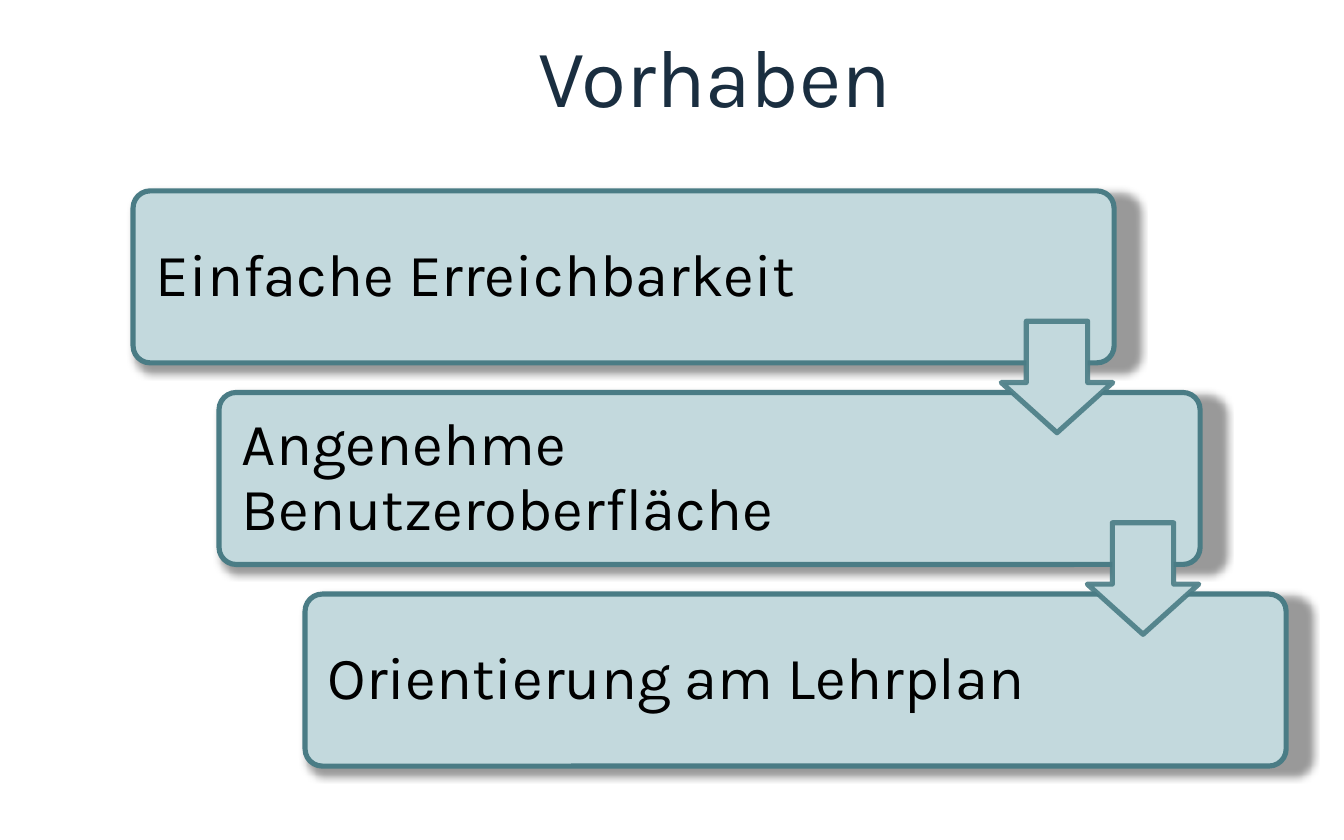
from dataclasses import dataclass

from lxml.etree import SubElement as Sub
from pptx import Presentation
from pptx.dml.color import RGBColor as Rgb
from pptx.enum.shapes import MSO_SHAPE as Kind
from pptx.enum.text import MSO_ANCHOR as Anchor, PP_ALIGN as Align
from pptx.oxml.ns import qn
from pptx.util import Inches, Pt


@dataclass(frozen=True)
class Theme:
    font: str = "Karla"
    navy: str = "1A2E40"
    fill: str = "C3D9DD"
    edge: str = "4A7C85"
    black: str = "000000"
    head: int = 44
    body: int = 32
    line: float = 2.75


class Deck:
    """Holds the theme and the current slide."""

    def __init__(self, theme, slide):
        self.theme, self.slide = theme, slide

    def add_run(self, para, text, size, color, space):
        para.line_spacing = space
        run = para.add_run()
        run.text = text
        font = run.font
        font.name, font.size = self.theme.font, Pt(size)
        font.color.rgb = Rgb.from_string(color)

    def title(self, text, *box):
        shape = self.slide.shapes.title
        shape.left, shape.top, shape.width, shape.height = map(Inches, box)
        shape.text_frame.vertical_anchor = Anchor.TOP
        para = shape.text_frame.paragraphs[0]
        para.alignment = Align.CENTER
        self.add_run(para, text, self.theme.head, self.theme.navy, 0.89)

    def form(self, kind, box, adjust):
        shape = self.slide.shapes.add_shape(kind, *map(Inches, box))
        for i, val in enumerate(adjust):
            shape.adjustments[i] = val
        shape.shadow.inherit = False
        shape.fill.solid()
        shape.fill.fore_color.rgb = Rgb.from_string(self.theme.fill)
        shape.line.color.rgb = Rgb.from_string(self.theme.edge)
        shape.line.width = Pt(self.theme.line)
        return shape

    def panel(self, *box):
        """Draw a rounded box with a slightly enlarged shadow."""
        shape = self.form(Kind.ROUNDED_RECTANGLE, box, [0.1])
        glow = shape.element.spPr.find(qn("a:effectLst"))
        cast = Sub(glow, qn("a:outerShdw"), blurRad=str(Pt(4)), dist=str(Pt(3)),
                   dir="2700000", sx="102000", sy="102000", algn="tl", rotWithShape="0")
        tone = Sub(cast, qn("a:srgbClr"), val=self.theme.black)
        Sub(tone, qn("a:alpha"), val="40000")

    def label(self, text, *box):
        frame = self.slide.shapes.add_textbox(*map(Inches, box)).text_frame
        frame.word_wrap = True
        frame.vertical_anchor = Anchor.MIDDLE
        frame.margin_left = frame.margin_right = Inches(0.13)
        frame.margin_top = frame.margin_bottom = Inches(0.13)
        self.add_run(frame.paragraphs[0], text, self.theme.body, self.theme.black, 0.9)

    def arrow(self, *box):
        shape = self.form(Kind.DOWN_ARROW, box, [0.55, 0.45])
        line = shape.element.spPr.find(qn("a:ln"))
        tone = line.find(".//" + qn("a:srgbClr"))
        Sub(tone, qn("a:alpha"), val="90000")


def main():
    show = Presentation()
    show.slide_width, show.slide_height = Inches(10), Inches(6.25)
    deck = Deck(Theme(), show.slides.add_slide(show.slide_layouts[5]))
    deck.title("Vorhaben", 1.06, 0.23, 8.52, 1.35)

    goals = ["Einfache Erreichbarkeit", "Angenehme Benutzeroberfläche",
             "Orientierung am Lehrplan"]
    left, top, wide, high = 0.99, 1.42, 7.3, 1.28
    right, down, pad = 0.64, 1.5, 0.04
    spots = [(left + i * right, top + i * down) for i in range(len(goals))]
    for goal, (x, y) in zip(goals, spots):
        deck.panel(x, y, wide, high)
        deck.label(goal, x + pad, y + pad, 5.74, high - 2 * pad)
    for x, y in spots[:-1]:
        deck.arrow(x + 6.46, y + 0.97, 0.83, 0.83)

    show.save("out.pptx")


if __name__ == "__main__":
    main()
